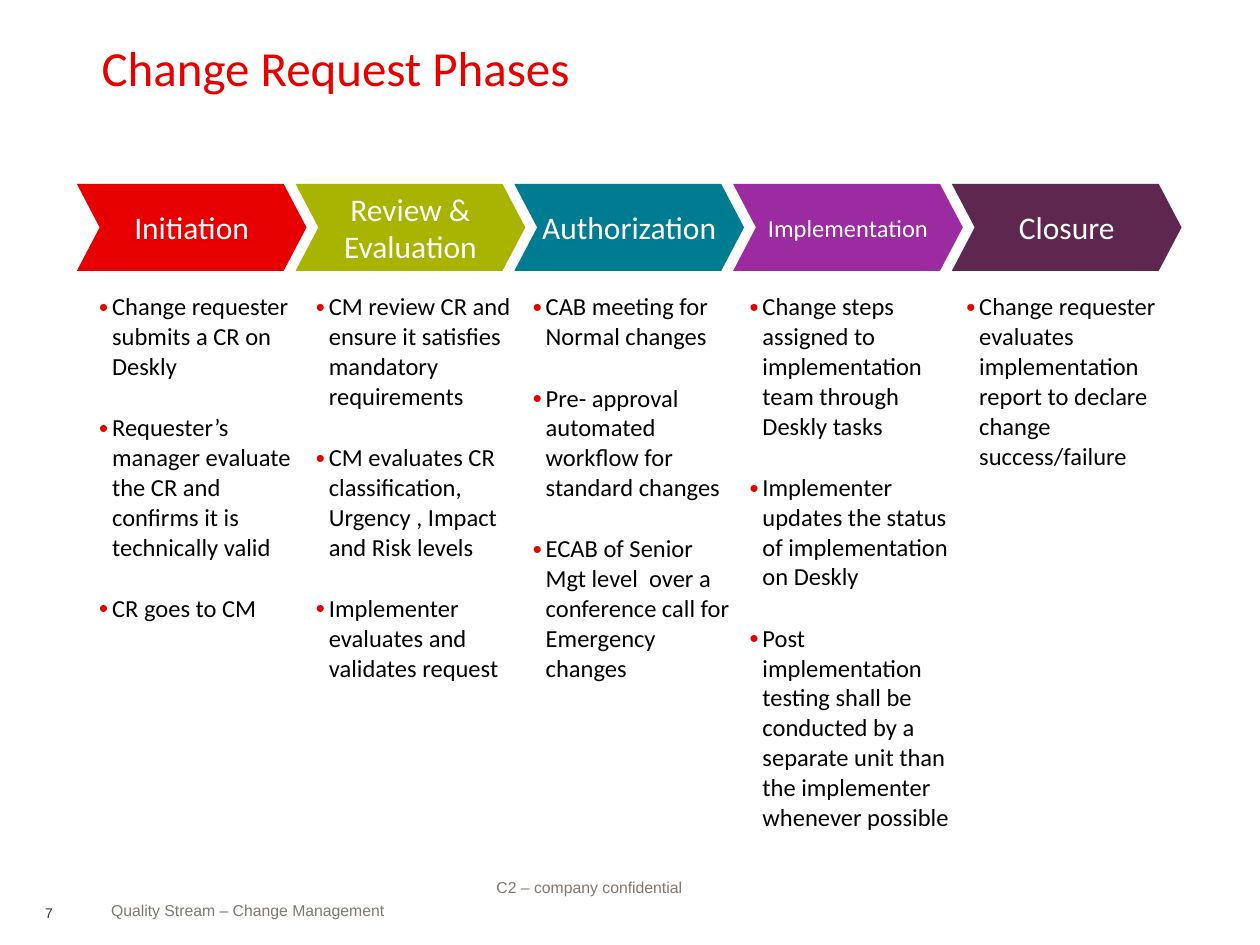
import pptx
import pptx.dml.color
import pptx.enum.shapes
import pptx.enum.text
import pptx.oxml
import pptx.oxml.ns
import pptx.util

Cm, Pt = pptx.util.Cm, pptx.util.Pt
ALIGN = pptx.enum.text.PP_ALIGN
ANCHOR = pptx.enum.text.MSO_ANCHOR

RED, WHITE, BLACK = "E60000", "FFFFFF", "000000"
GREY, DARK = "82786F", "34342B"

TITLE = "Change Request Phases"
# name, colour, name size, steps
PHASES = [
    ("Initiation", RED, 18, [
        "Change requester submits a CR on Deskly",
        "Requester’s manager evaluate the CR and confirms it is technically valid",
        "CR goes to CM",
    ]),
    ("Review & Evaluation", "A8B400", 18, [
        "CM review CR and ensure it satisfies mandatory requirements",
        "CM evaluates CR classification, Urgency , Impact and Risk levels",
        "Implementer evaluates and validates request",
    ]),
    ("Authorization", "007C92", 18, [
        "CAB meeting for Normal changes",
        "Pre- approval automated workflow for standard changes",
        "ECAB of Senior Mgt level  over a conference call for Emergency changes",
    ]),
    ("Implementation", "9C2AA0", 14, [
        "Change steps assigned to implementation team through Deskly tasks",
        "Implementer updates the status of implementation on Deskly",
        "Post implementation testing shall be conducted by a separate unit "
        "than the implementer whenever possible",
    ]),
    ("Closure", "5E2750", 18, [
        "Change requester evaluates implementation report to declare change success/failure",
    ]),
]

# All lengths in centimetres
CHEVRON_LEFT, CHEVRON_TOP, CHEVRON_PITCH = 1.55, 3.71, 4.41
CHEVRON_WIDTH, CHEVRON_HEIGHT, CHEVRON_POINT = 4.63, 1.75, 0.46
TABLE_LEFT, TABLE_TOP, COLUMN_WIDTH, TABLE_HEIGHT = 1.8, 5.77, 4.37, 11.07
BULLET_INDENT = 0.26


def rgb(hex_color):
    return pptx.dml.color.RGBColor.from_string(hex_color)


def add_bullet(paragraph):
    properties = paragraph._p.get_or_add_pPr()
    indent = Cm(BULLET_INDENT)
    properties.set("marL", str(indent))
    properties.set("indent", str(-indent))
    namespace = pptx.oxml.ns.nsdecls("a")
    for xml in (
        f'<a:buClr {namespace}><a:srgbClr val="{RED}"/></a:buClr>',
        f'<a:buSzPct {namespace} val="105000"/>',
        f'<a:buFont {namespace} typeface="Arial"/>',
        f'<a:buChar {namespace} char="•"/>',
    ):
        properties.append(pptx.oxml.parse_xml(xml))


def write(frame, *lines, size, color, font="Calibri", align=ALIGN.LEFT,
          line_spacing=None, bullets=False):
    """Fill a text frame with one paragraph per line."""
    for index, line in enumerate(lines):
        paragraph = frame.add_paragraph() if index else frame.paragraphs[0]
        if bullets:
            add_bullet(paragraph)
            paragraph.space_after = Pt(12)
            if index:
                paragraph.space_before = Pt(6)
        paragraph.alignment = align
        if line_spacing:
            paragraph.line_spacing = line_spacing
        run = paragraph.add_run()
        run.text = line
        run.font.size = Pt(size)
        run.font.name = font
        run.font.color.rgb = rgb(color)


def set_margins(target, left, top, right, bottom):
    target.margin_left, target.margin_top = Cm(left), Cm(top)
    target.margin_right, target.margin_bottom = Cm(right), Cm(bottom)


def add_label(slide, text, box, margins, anchor=ANCHOR.TOP, **text_format):
    frame = slide.shapes.add_textbox(*map(Cm, box)).text_frame
    frame.word_wrap = True
    frame.vertical_anchor = anchor
    set_margins(frame, *margins)
    write(frame, text, **text_format)


def add_chevron(slide, index, name, color, size):
    chevron = slide.shapes.add_shape(
        pptx.enum.shapes.MSO_SHAPE.CHEVRON,
        Cm(CHEVRON_LEFT + index * CHEVRON_PITCH), Cm(CHEVRON_TOP),
        Cm(CHEVRON_WIDTH), Cm(CHEVRON_HEIGHT))
    chevron.adjustments[0] = CHEVRON_POINT / CHEVRON_HEIGHT
    chevron.shadow.inherit = False
    chevron.fill.solid()
    chevron.fill.fore_color.rgb = rgb(color)
    chevron.line.fill.background()
    frame = chevron.text_frame
    frame.word_wrap = True
    frame.vertical_anchor = ANCHOR.MIDDLE
    set_margins(frame, 0, 0.1, 0, 0.1)
    write(frame, name, size=size, color=WHITE, align=ALIGN.CENTER)


def add_steps_table(slide):
    table = slide.shapes.add_table(
        1, len(PHASES), Cm(TABLE_LEFT), Cm(TABLE_TOP),
        Cm(COLUMN_WIDTH * len(PHASES)), Cm(TABLE_HEIGHT)).table
    table.first_row = False
    table.horz_banding = False
    for column, (_, _, _, steps) in enumerate(PHASES):
        table.columns[column].width = Cm(COLUMN_WIDTH)
        cell = table.cell(0, column)
        cell.fill.background()
        set_margins(cell, 0.2, 0.13, 0.15, 0.13)
        write(cell.text_frame, *steps, size=14, color=BLACK, bullets=True)


def main():
    deck = pptx.Presentation()
    deck.slide_width, deck.slide_height = Cm(25.4), Cm(19.05)
    slide = deck.slides.add_slide(deck.slide_layouts[6])

    footer = dict(margins=(0, 0.13, 0.25, 0.13), size=9, color=GREY, font="Arial")
    add_label(slide, "7", (0.91, 17.63, 0.56, 0.94), (0, 0, 0, 0),
              anchor=ANCHOR.BOTTOM, size=8, color=DARK, font="Arial")
    add_label(slide, "C2 – company confidential", (9.07, 17.6, 5.87, 1.12),
              align=ALIGN.CENTER, line_spacing=0.95, **footer)
    add_label(slide, "Quality Stream – Change Management",
              (2.24, 18.03, 5.77, 0.76), **footer)
    add_label(slide, TITLE, (1.8, 0.76, 21.84, 2.62), (0.25, 0.13, 0.25, 0.13),
              size=28, color=RED, line_spacing=0.9)

    for index, (name, color, size, _) in enumerate(PHASES):
        add_chevron(slide, index, name, color, size)
    add_steps_table(slide)
    deck.save("out.pptx")


if __name__ == "__main__":
    main()
